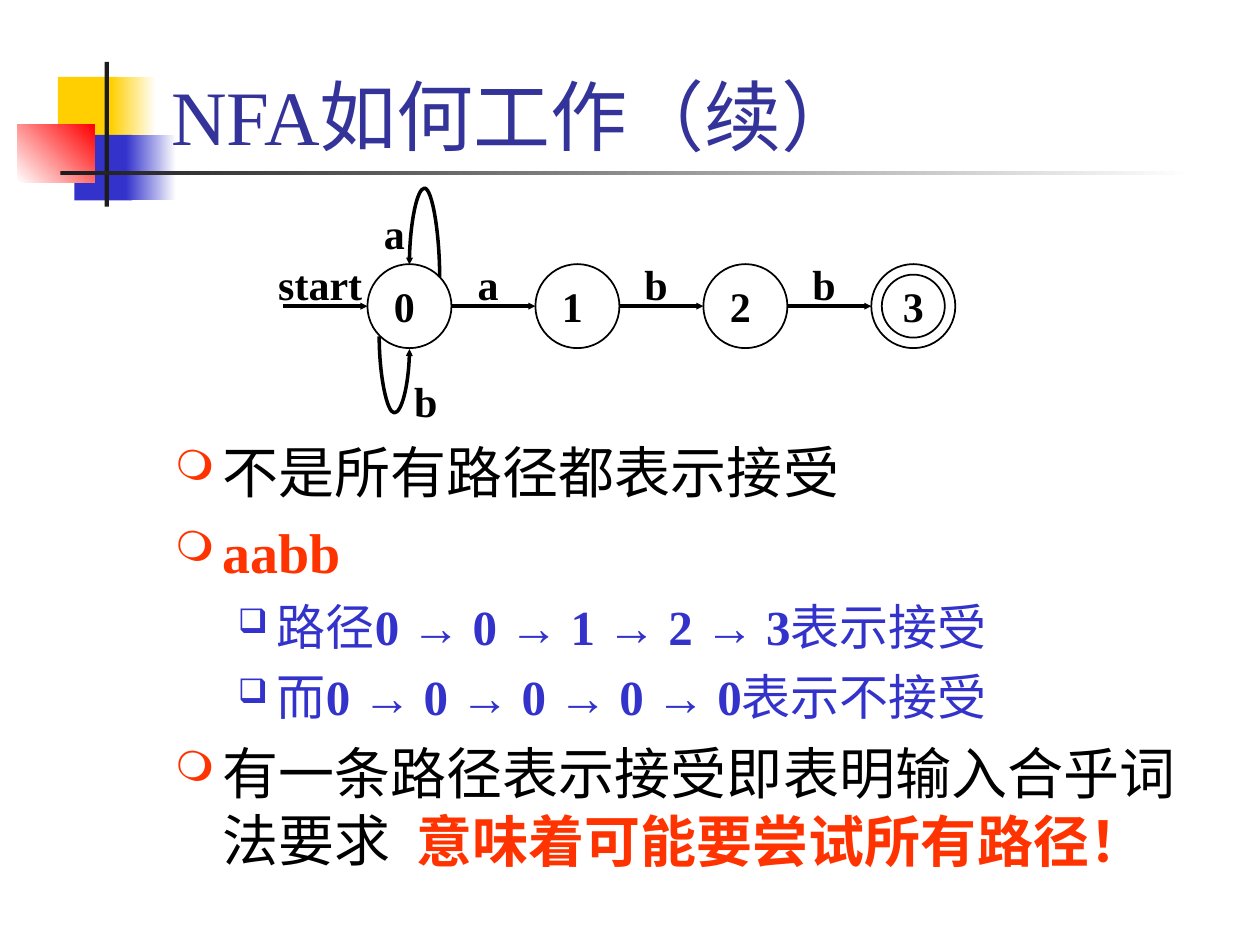
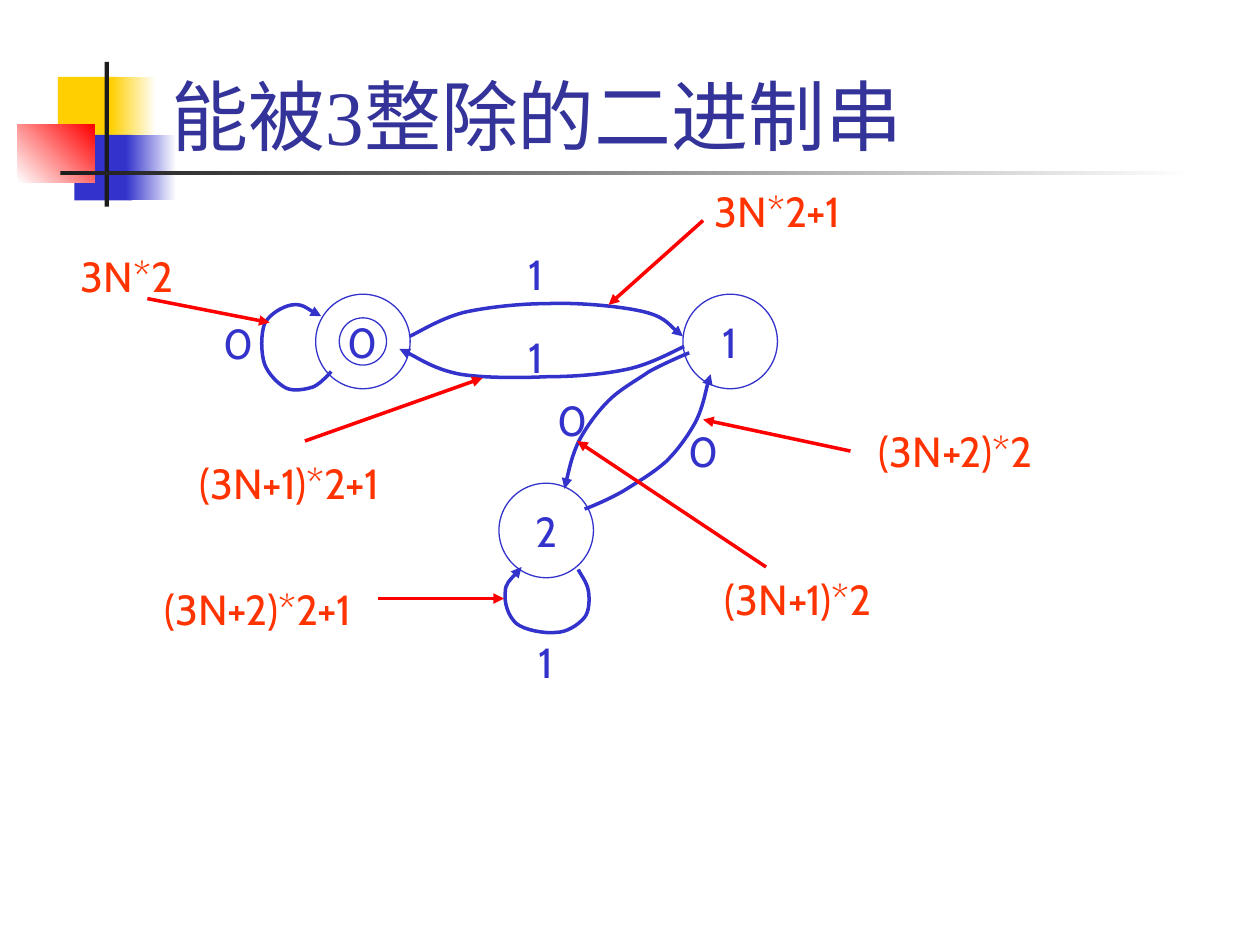
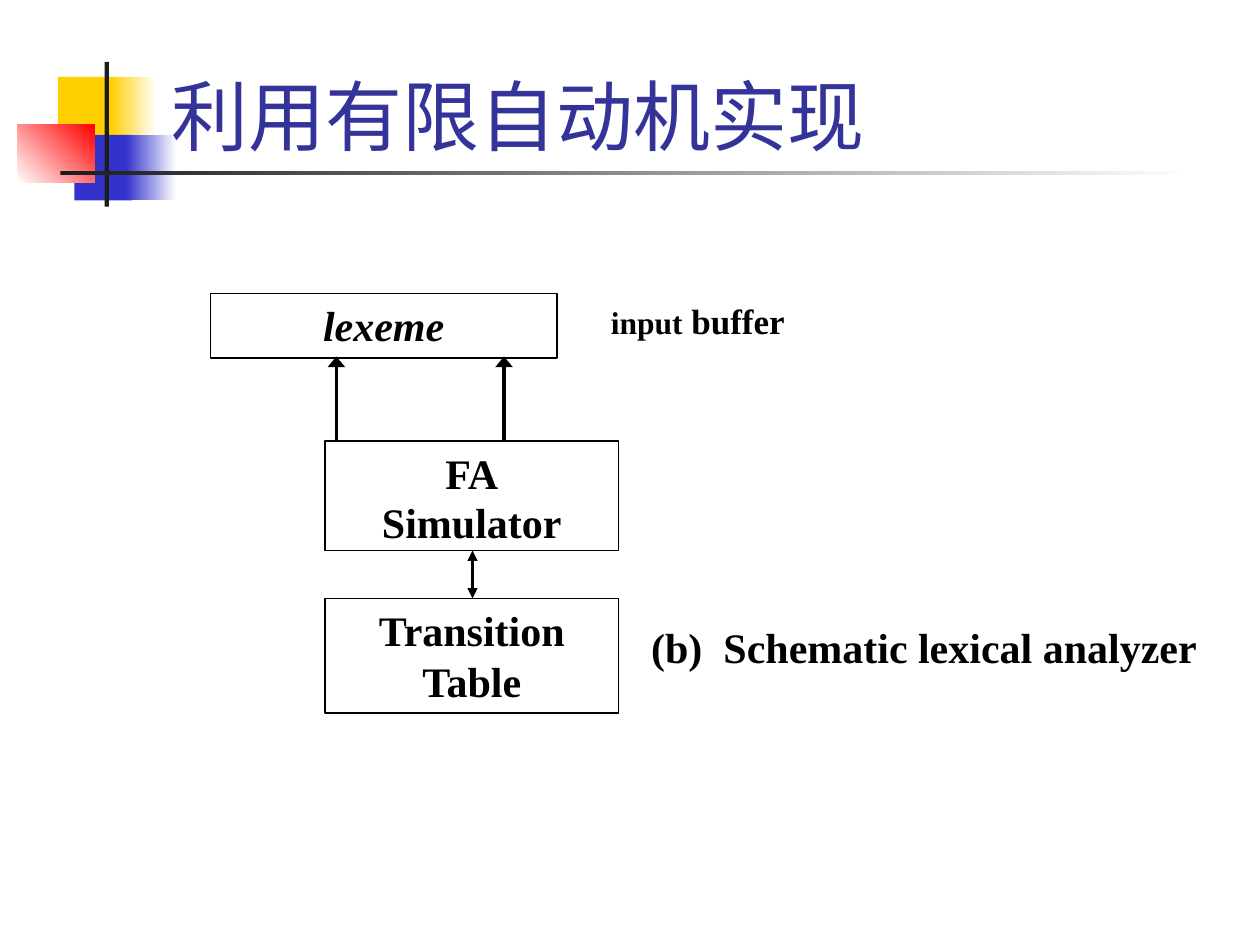
from lxml import etree
from pptx import Presentation
from pptx.dml.color import RGBColor
from pptx.enum.shapes import MSO_CONNECTOR, MSO_SHAPE
from pptx.enum.text import MSO_ANCHOR, PP_ALIGN
from pptx.oxml.ns import qn
from pptx.util import Inches, Pt

RECTANGLE, OVAL = MSO_SHAPE.RECTANGLE, MSO_SHAPE.OVAL
STRAIGHT, CURVED = MSO_CONNECTOR.STRAIGHT, MSO_CONNECTOR.CURVE
LEFT, CENTER = PP_ALIGN.LEFT, PP_ALIGN.CENTER
TOP, MIDDLE, BOTTOM = MSO_ANCHOR.TOP, MSO_ANCHOR.MIDDLE, MSO_ANCHOR.BOTTOM

WIDTH, HEIGHT = Inches(10), Inches(7.5)
COLUMNS, ROWS = 100, 75
SERIF, SANS = "Times New Roman", "Cabin"
BLACK, WHITE, INK, NAVY = "000000", "FFFFFF", "1C1C1C", "333399"
BLUE, YELLOW, RED, ORANGE = "3333CC", "FFCF01", "FF0000", "FF3300"
TITLE_ONLY = 5

# left, top, width, height, colours, gradient angle
BAND = [
    (4.6, 6.1, 4.8, 5.2, [YELLOW], 0),
    (8.8, 6.1, 3.6, 5.2, [YELLOW, WHITE], 0),
    (5.9, 10.7, 4.6, 5.2, [BLUE], 0),
    (10, 10.7, 4, 5.2, [BLUE, WHITE], 0),
    (1.4, 9.9, 6.1, 4.6, [WHITE, RED], 45),
    (8.3, 4.9, 0.35, 11.5, [INK], 0),
    (4.8, 13.6, 90, 0.3, [INK, WHITE], 0),
]


def rgb(value):
    return RGBColor.from_string(value)


def place(*lengths):
    """Turn alternating column and row counts into slide lengths."""
    units = (WIDTH / COLUMNS, HEIGHT / ROWS)
    return [round(length * units[i % 2]) for i, length in enumerate(lengths)]


def write(paragraph, text, size=24, font=SERIF, color=BLACK, bold=False, italic=False):
    run = paragraph.add_run()
    run.text = text
    run.font.size, run.font.name = Pt(size), font
    run.font.bold, run.font.italic = bold, italic
    run.font.color.rgb = rgb(color)


def set_bullet(paragraph, character, color, percent, margin, indent):
    properties = paragraph._p.get_or_add_pPr()
    properties.set("marL", str(Inches(margin)))
    properties.set("indent", str(-Inches(indent)))
    bullet_color = etree.SubElement(properties, qn("a:buClr"))
    etree.SubElement(bullet_color, qn("a:srgbClr"), val=color)
    etree.SubElement(properties, qn("a:buSzPct"), val=str(percent * 1000))
    etree.SubElement(properties, qn("a:buChar"), char=character)


class Deck:
    """Holds the shared style and the slide being built."""

    def __init__(self):
        self.presentation = Presentation()
        self.presentation.slide_width = WIDTH
        self.presentation.slide_height = HEIGHT
        self.layout = self.presentation.slide_layouts[TITLE_ONLY]
        self.slide = None

    def new_slide(self, title):
        first = self.slide is None
        self.slide = self.presentation.slides.add_slide(self.layout)
        if first:
            self.decorate_layout()
        shape = self.slide.shapes.title
        shape.left, shape.top, shape.width, shape.height = place(12.6, 0.8, 85.2, 12.5)
        frame = shape.text_frame
        frame.word_wrap, frame.vertical_anchor = True, BOTTOM
        frame.paragraphs[0].alignment = LEFT
        write(frame.paragraphs[0], title, size=44, color=NAVY)

    def decorate_layout(self):
        """Draw the band once and move it to the layout all slides share."""
        tree = self.layout.shapes._spTree
        for number, (left, top, width, height, colors, angle) in enumerate(BAND):
            shape = self.shape(RECTANGLE, left, top, width, height, line=None)
            if len(colors) == 1:
                shape.fill.solid()
                shape.fill.fore_color.rgb = rgb(colors[0])
            else:
                shape.fill.gradient()
                shape.fill.gradient_angle = angle
                for stop, color in zip(shape.fill.gradient_stops, colors):
                    stop.color.rgb = rgb(color)
            shape._element.nvSpPr.cNvPr.set("id", str(20 + number))
            tree.append(shape._element)

    def shape(self, kind, left, top, width, height, line=BLACK, weight=1):
        shape = self.slide.shapes.add_shape(kind, *place(left, top, width, height))
        shape.shadow.inherit = False
        shape.fill.background()
        if line:
            self.stroke(shape, line, weight)
        else:
            shape.line.fill.background()
        return shape

    def circle(self, center_x, center_y, diameter, **style):
        return self.shape(OVAL, center_x - diameter / 2, center_y - diameter / 2,
                          diameter, diameter, **style)

    def stroke(self, shape, color, weight, ends=(), width="med"):
        """Set the line; ends names the ends that carry an arrowhead."""
        shape.line.color.rgb = rgb(color)
        shape.line.width = Pt(weight)
        outline = shape._element.spPr.find(qn("a:ln"))
        length = "sm" if width == "sm" else "med"
        for end in ends:
            etree.SubElement(outline, qn(f"a:{end}End"), type="triangle", w=width, len=length)

    def arrow(self, *ends_at, kind=STRAIGHT, color=BLACK, weight=2, ends=("tail",), width="med"):
        connector = self.slide.shapes.add_connector(kind, *place(*ends_at))
        self.stroke(connector, color, weight, ends, width)
        etree.SubElement(connector._element.spPr, qn("a:effectLst"))
        return connector

    def loop(self, left, top, rotation, reach):
        """Draw a turned curved connector that bulges by reach times its width."""
        connector = self.arrow(left, top, left + 1, top + 2.4, kind=CURVED, width="sm")
        properties = connector._element.spPr
        frame = properties.find(qn("a:xfrm"))
        frame.set("rot", str(rotation * 60000))
        frame.set("flipH", "1")
        geometry = properties.find(qn("a:prstGeom"))
        guides = geometry.find(qn("a:avLst"))
        if guides is None:
            guides = etree.SubElement(geometry, qn("a:avLst"))
        etree.SubElement(guides, qn("a:gd"), name="adj1", fmla=f"val {round(reach * 100000)}")

    def curve(self, points):
        """Draw an arrow along Bezier pieces: a start, then three points each."""
        start, *rest = [place(*point) for point in points]
        builder = self.slide.shapes.build_freeform(*start, scale=1.0)
        builder.add_line_segments(rest, close=False)
        shape = builder.convert_to_shape()
        shape.shadow.inherit = False
        shape.fill.background()
        self.stroke(shape, BLUE, 2, ("tail",))
        path = next(shape._element.iter(qn("a:path")))
        segments = path.findall(qn("a:lnTo"))
        for i in range(0, len(segments), 3):
            piece = etree.SubElement(path, qn("a:cubicBezTo"))
            for segment in segments[i:i + 3]:
                piece.append(segment[0])
                path.remove(segment)

    def text_box(self, left, top, width, height, wrap=True):
        shape = self.slide.shapes.add_textbox(*place(left, top, width, height))
        shape.text_frame.word_wrap = wrap
        return shape.text_frame

    def label(self, text, left, top, width, height=5, align=CENTER, wrap=True, **style):
        paragraph = self.text_box(left, top, width, height, wrap).paragraphs[0]
        paragraph.alignment = align
        write(paragraph, text, **style)

    def box(self, left, top, width, height, lines, **style):
        """Draw a framed box; a second line is set tight below the first."""
        frame = self.shape(RECTANGLE, left, top, width, height).text_frame
        frame.word_wrap, frame.vertical_anchor = True, TOP
        for number, line in enumerate(lines):
            paragraph = frame.add_paragraph() if number else frame.paragraphs[0]
            paragraph.alignment = CENTER
            if number:
                paragraph.line_spacing, paragraph.space_before = 0.4, Pt(14)
            write(paragraph, line, bold=True, **style)

    def bullets(self, left, top, width, height, items):
        """Write items given as level and runs, a run as text and format."""
        frame = self.text_box(left, top, width, height)
        for number, (level, runs) in enumerate(items):
            paragraph = frame.add_paragraph() if number else frame.paragraphs[0]
            paragraph.level = level
            if level:
                set_bullet(paragraph, "❑", BLUE, 69, 0.81, 0.31)
            else:
                set_bullet(paragraph, "❍", ORANGE, 75, 0.38, 0.38)
            if number:
                paragraph.space_before = Pt(6.5 if level else 7.5)
            base = {"size": 28, "color": BLUE} if level else {"size": 32}
            for text, style in runs:
                write(paragraph, text, **{**base, **style})


def build_nfa_slide(deck):
    deck.new_slide("NFA如何工作（续）")
    strong = {"bold": True}
    deck.bullets(12.9, 34.2, 85, 32.5, [
        (0, [("不是所有路径都表示接受", {})]),
        (0, [("aabb", {"bold": True, "color": ORANGE})]),
        (1, [("路径", {}), ("0 → 0 → 1 → 2 → 3", strong), ("表示接受", {})]),
        (1, [("而", {}), ("0 → 0 → 0 → 0 → 0", strong), ("表示不接受", {})]),
        (0, [("有一条路径表示接受即表明输入合乎词法要求", {})]),
    ])
    first, step, middle, diameter = 32.5, 13.33, 24.3, 6.67
    for state, edge in enumerate(["start", "a", "b", "b"]):
        center = first + state * step
        left = center - diameter / 2
        deck.circle(center, middle, diameter)
        deck.arrow(left - diameter, middle, left, middle, width="sm")
        edge_width = 10.8 if state == 0 else 4.2
        deck.label(edge, left - 3.75 - edge_width / 2, 20, edge_width, bold=True)
        shift = 0 if state == 3 else 0.4
        deck.label(str(state), center - shift - 2.1, 21.8, 4.2, bold=True)
    deck.circle(first + 3 * step, middle, 5)
    deck.loop(33.2, 20.3, 90, 7.07)
    deck.loop(30.8, 26, 270, 6.07)
    deck.label("a", 29.2, 16, 4.2, bold=True)
    deck.label("b", 31.7, 29.3, 4.2, bold=True)
    deck.label("意味着可能要尝试所有路径！", 32.1, 63.5, 61.6, 6.4, align=LEFT,
               size=32, font=SANS, color=ORANGE, bold=True)


def build_binary_slide(deck):
    deck.new_slide("能被3整除的二进制串")
    for state, x, y in [("0", 28.8, 27.1), ("1", 57.95, 27.1), ("2", 43.35, 42.1)]:
        frame = deck.circle(x, y, 7.5, line=BLUE, weight=0.75).text_frame
        frame.word_wrap, frame.vertical_anchor = False, MIDDLE
        frame.paragraphs[0].alignment = CENTER
        write(frame.paragraphs[0], state, font=SANS, color=BLUE)
    deck.circle(28.8, 27.1, 3.75, line=BLUE, weight=0.75)

    transitions = [
        [(32.5, 26.7), (33.2, 26.4), (34.9, 25.3), (36.8, 24.8), (38.6, 24.4), (41.2, 24.1),
         (43.5, 24.1), (45.9, 24), (49.1, 24.3), (50.9, 24.7), (52.7, 25.1), (53.5, 26.2),
         (54.2, 26.7)],
        [(54.3, 27.5), (53.6, 27.8), (51.7, 28.9), (49.8, 29.3), (48, 29.7), (45.6, 29.9),
         (43.4, 29.9), (41.2, 30), (38.4, 30), (36.5, 29.7), (34.5, 29.3), (32.7, 28.1),
         (31.7, 27.7)],
        [(54.7, 28), (54.2, 28.2), (52.6, 28.9), (51.5, 29.5), (50.5, 30.2), (49.2, 30.9),
         (48.3, 31.8), (47.4, 32.7), (46.6, 33.8), (46, 34.9), (45.4, 36.1), (45, 38),
         (44.8, 38.8)],
        [(46.4, 40.4), (47, 40.2), (48.6, 39.5), (49.6, 38.9), (50.7, 38.2), (51.9, 37.5),
         (52.9, 36.6), (53.8, 35.7), (54.6, 34.6), (55.2, 33.5), (55.8, 32.3), (56.1, 30.5),
         (56.4, 29.7)],
        [(45.9, 45.2), (46, 45.5), (46.6, 46.2), (46.7, 46.9), (46.8, 47.5), (46.8, 48.5),
         (46.4, 49), (45.9, 49.6), (45, 50.2), (44.1, 50.2), (43.2, 50.3), (41.6, 50),
         (41, 49.5), (40.3, 48.9), (40, 47.8), (40.1, 47), (40.1, 46.3), (41.1, 45.4),
         (41.4, 45)],
        [(26.3, 29.5), (26.1, 29.7), (25.5, 30.4), (24.9, 30.7), (24.3, 30.9), (23.3, 31.1),
         (22.7, 30.8), (22.1, 30.5), (21.3, 29.7), (21, 28.9), (20.7, 28), (20.7, 26.5),
         (21, 25.7), (21.4, 24.9), (22.5, 24.3), (23.2, 24.2), (24, 24.1), (25, 24.9),
         (25.5, 25.1)],
    ]
    for points in transitions:
        deck.curve(points)

    inputs = [("1", 39.2, 19.2), ("1", 39.2, 25.8), ("0", 42.1, 30.8), ("0", 52.5, 33.3),
              ("1", 40, 50), ("0", 15.6, 24.7)]
    for text, left, top in inputs:
        deck.label(text, left, top, 6.7, font=SANS, color=BLUE)

    # text, left, top, width, arrow from and to
    values = [
        ("3N*2+1", 54.2, 14.2, 15, (55.8, 17.5, 48.3, 24.2)),
        ("(3N+1)*2", 54.2, 45, 18.3, (60.8, 45, 45.8, 35)),
        ("(3N+1)*2+1", 11.7, 35.8, 22.5, (24.2, 35, 38.3, 30)),
        ("(3N+2)*2", 66.7, 33.3, 18.3, (67.5, 35.8, 55.8, 33.3)),
        ("(3N+2)*2+1", 9.2, 45.8, 22.5, (30, 47.5, 40, 47.5)),
        ("3N*2", 2.6, 19.4, 15, (11.7, 23.7, 21.4, 25.6)),
    ]
    for text, left, top, width, ends_at in values:
        deck.label(text, left, top, width, font=SANS, color=ORANGE)
        deck.arrow(*ends_at, color=RED)


def build_analyzer_slide(deck):
    deck.new_slide("利用有限自动机实现")
    deck.box(16.7, 23.3, 27.5, 5.1, ["lexeme"], italic=True)
    deck.box(25.8, 35, 23.3, 8.7, ["FA", "Simulator"])
    deck.box(25.8, 47.5, 23.3, 9.1, ["Transition Table"])
    deck.arrow(37.5, 43.7, 37.5, 47.5, weight=1.5, ends=("head", "tail"))
    for pointer in (26.7, 40):
        deck.arrow(pointer, 35, pointer, 28.3, width="lg")
    caption = deck.text_box(47.5, 23.3, 23.3, 4.3).paragraphs[0]
    write(caption, "input", size=18, bold=True)
    write(caption, " buffer", size=20, bold=True)
    deck.label("(b)  Schematic lexical analyzer", 50.7, 48.8, 45.3, align=LEFT,
               wrap=False, bold=True)


def main():
    deck = Deck()
    build_nfa_slide(deck)
    build_binary_slide(deck)
    build_analyzer_slide(deck)
    deck.presentation.save("out.pptx")


if __name__ == "__main__":
    main()
